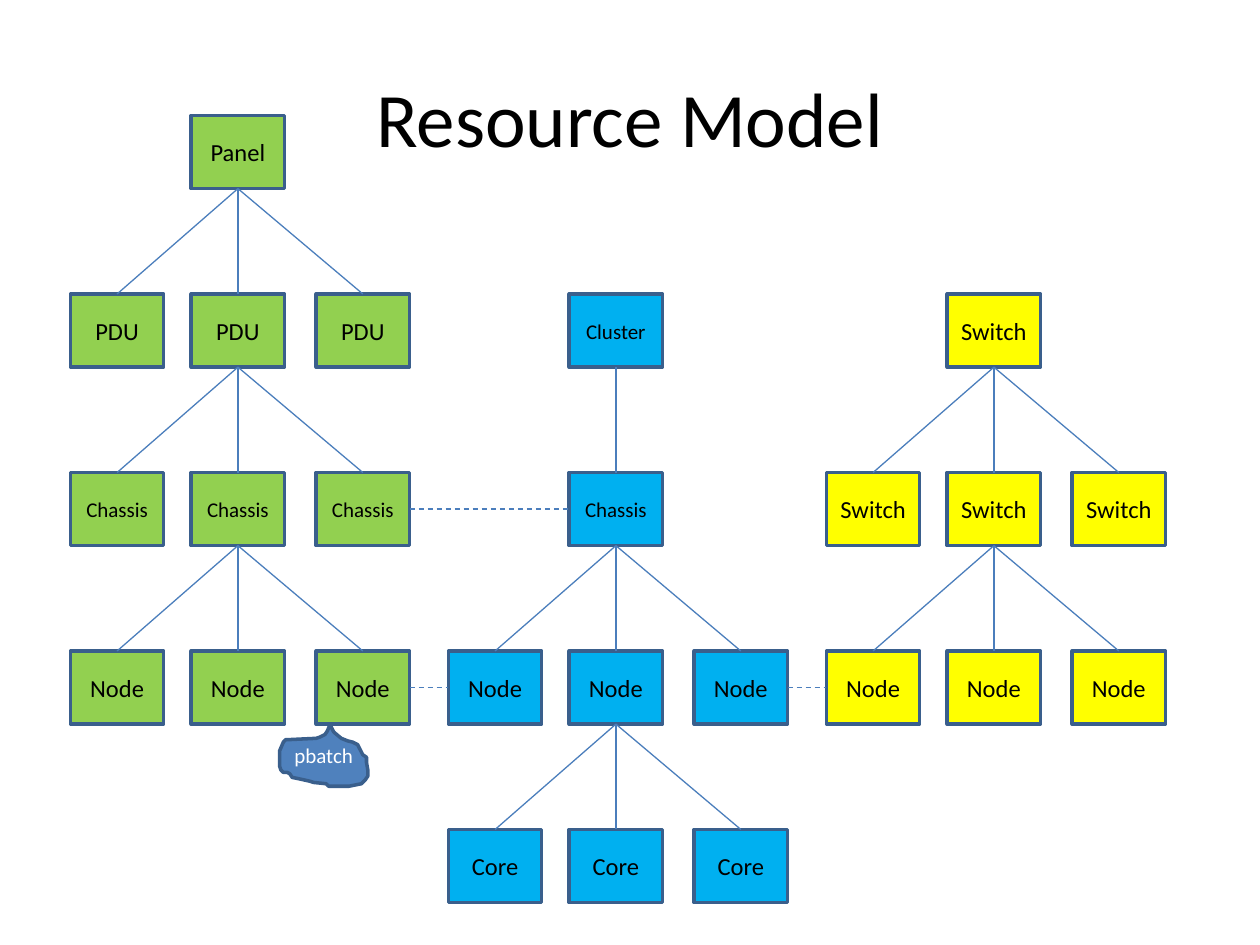
from lxml.etree import SubElement
from pptx import Presentation
from pptx.dml.color import RGBColor
from pptx.enum.dml import MSO_LINE
from pptx.enum.shapes import MSO_CONNECTOR, MSO_SHAPE
from pptx.enum.text import MSO_ANCHOR, PP_ALIGN
from pptx.oxml.ns import qn
from pptx.util import Pt

COLORS = {
    "power": "92D050",
    "compute": "00B0F0",
    "network": "FFFF00",
    "callout": "4F81BD",
    "outline": "3A5F8C",
    "link": "4B7EBC",
    "dark": "000000",
    "light": "FFFFFF",
}
FONT = "Calibri"
BOX_WIDTH, BOX_HEIGHT = 53.3, 41.8
COLUMN_OFFSETS = (0, 69, 140.4)
TREE_LEFT, TREE_STEP = 40.3, 216
ROW_TOP, ROW_STEP = 66, 102
SMALL_LABELS = {"Chassis", "Cluster", "pbatch"}
TOP, LEFT, BOTTOM, RIGHT = range(4)

TREES = {
    "power": (0, [("Panel", 1), ("PDU", 3), ("Chassis", 3), ("Node", 3)]),
    "compute": (1, [("Cluster", 1), ("Chassis", 1), ("Node", 3), ("Core", 3)]),
    "network": (1, [("Switch", 1), ("Switch", 3), ("Node", 3)]),
}
CALLOUT_UNIT = 0.72
CALLOUT_POINTS = [
    (40, 0), (38, 5), (36, 8), (34, 9), (32, 10), (29, 11), (8, 12), (5, 12),
    (3, 14), (0, 21), (0, 33), (1, 36), (3, 38), (6, 38), (8, 39), (10, 42),
    (15, 43), (24, 45), (27, 46), (37, 47), (39, 49), (55, 49), (65, 47),
    (68, 44), (70, 41), (70, 36), (69, 30), (69, 26), (66, 24), (65, 22),
    (64, 20), (62, 16), (58, 14), (54, 13), (49, 11), (43, 6), (42, 4),
]


def rgb(name):
    """Return the named colour."""
    return RGBColor.from_string(COLORS[name])


def add_run(paragraph, text, size, color):
    """Add one centred, formatted run."""
    paragraph.alignment = PP_ALIGN.CENTER
    run = paragraph.add_run()
    run.text = text
    run.font.name = FONT
    run.font.size = Pt(size)
    run.font.color.rgb = rgb(color)


def style_shape(shape, fill, text, text_color):
    """Fill, outline and label a shape."""
    shape.shadow.inherit = False
    shape.fill.solid()
    shape.fill.fore_color.rgb = rgb(fill)
    shape.line.color.rgb = rgb("outline")
    shape.line.width = Pt(2)
    frame = shape.text_frame
    frame.word_wrap = True
    frame.vertical_anchor = MSO_ANCHOR.MIDDLE
    frame.margin_left = frame.margin_right = Pt(0)
    size = 12 if text in SMALL_LABELS else 14
    add_run(frame.paragraphs[0], text, size, text_color)


def link(slide, start, start_side, end, end_side, dashed=False):
    """Join the sides of two boxes with a thin line."""
    connector = slide.shapes.add_connector(
        MSO_CONNECTOR.STRAIGHT, Pt(0), Pt(0), Pt(0), Pt(0))
    connector.begin_connect(start, start_side)
    connector.end_connect(end, end_side)
    connector.line.color.rgb = rgb("link")
    connector.line.width = Pt(0.75)
    if dashed:
        connector.line.dash_style = MSO_LINE.DASH
    SubElement(connector._element.spPr, qn("a:effectLst"))


def add_title(slide, left, top, width, height):
    """Place and write the slide title."""
    title = slide.shapes.title
    title.left, title.top = Pt(left), Pt(top)
    title.width, title.height = Pt(width), Pt(height)
    title.text_frame.vertical_anchor = MSO_ANCHOR.MIDDLE
    add_run(title.text_frame.paragraphs[0], "Resource Model", 44, "dark")


def add_tree(slide, left, top, color, levels):
    """Draw a hierarchy whose middle boxes branch, and return its rows."""
    rows = []
    for level, (label, count) in enumerate(levels):
        offsets = COLUMN_OFFSETS if count == 3 else COLUMN_OFFSETS[1:2]
        row = []
        for offset in offsets:
            box = slide.shapes.add_shape(
                MSO_SHAPE.RECTANGLE, Pt(left + offset),
                Pt(top + level * ROW_STEP), Pt(BOX_WIDTH), Pt(BOX_HEIGHT))
            style_shape(box, color, label, "dark")
            row.append(box)
        rows.append(row)
    for parents, children in zip(rows, rows[1:]):
        for child in children:
            link(slide, parents[len(parents) // 2], BOTTOM, child, TOP)
    return rows


def add_callout(slide, left, top):
    """Draw the job bubble below a node."""
    builder = slide.shapes.build_freeform(
        *CALLOUT_POINTS[0], scale=Pt(CALLOUT_UNIT))
    builder.add_line_segments(CALLOUT_POINTS[1:], close=True)
    bubble = builder.convert_to_shape(Pt(left), Pt(top))
    style_shape(bubble, "callout", "pbatch", "light")


def main():
    """Build the resource model slide."""
    presentation = Presentation()
    presentation.slide_width, presentation.slide_height = Pt(720), Pt(540)
    slide = presentation.slides.add_slide(presentation.slide_layouts[5])
    add_title(slide, 36, 21.6, 648, 90)
    trees = {}
    for index, (name, (first_row, levels)) in enumerate(TREES.items()):
        trees[name] = add_tree(
            slide, TREE_LEFT + index * TREE_STEP,
            ROW_TOP + first_row * ROW_STEP, name, levels)
    power, compute, network = trees.values()
    for start, end in (
        (power[2][-1], compute[1][0]),
        (power[3][-1], compute[2][0]),
        (compute[2][-1], network[2][0]),
    ):
        link(slide, start, RIGHT, end, LEFT, dashed=True)
    add_callout(slide, 159.8, 414)
    presentation.save("out.pptx")


if __name__ == "__main__":
    main()
